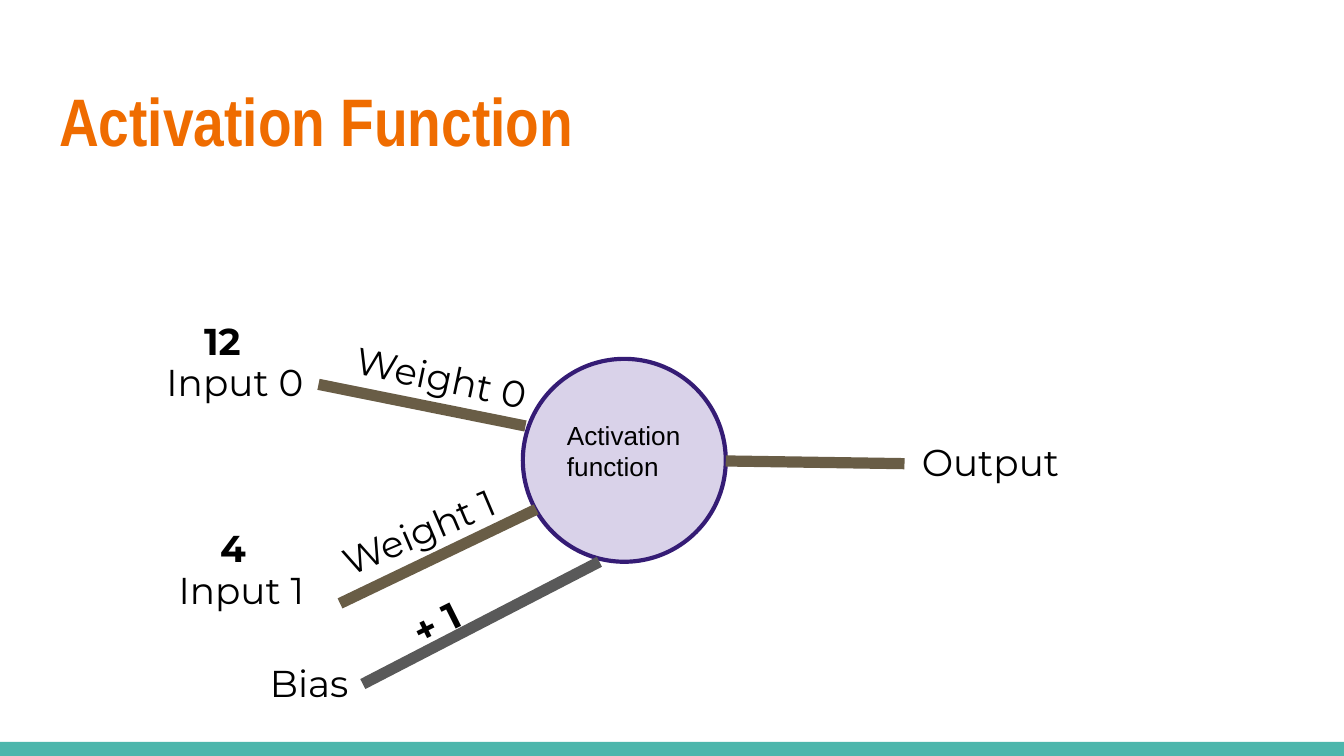
import pptx
import pptx.dml.color
import pptx.enum.shapes
import pptx.enum.text
import pptx.oxml
import pptx.oxml.ns
import pptx.util

PX = 9144
TAUPE = "695D46"
BLACK = "000000"


def px(length):
    return pptx.util.Emu(length * PX)


def box(*lengths):
    return [px(length) for length in lengths]


def colour(hex_code):
    return pptx.dml.color.RGBColor.from_string(hex_code)


def write(frame, text, size, font, hex_code=BLACK, bold=False):
    frame.text = text
    frame.word_wrap = True
    frame.auto_size = pptx.enum.text.MSO_AUTO_SIZE.NONE
    frame.vertical_anchor = pptx.enum.text.MSO_ANCHOR.TOP
    frame.margin_left = frame.margin_right = px(10)
    frame.margin_top = frame.margin_bottom = px(10)
    paragraph = frame.paragraphs[0]
    paragraph.alignment = pptx.enum.text.PP_ALIGN.LEFT
    for run in paragraph.runs:
        run.font.size = pptx.util.Pt(size)
        run.font.name = font
        run.font.bold = bold
        run.font.color.rgb = colour(hex_code)


def add_title(slide, text):
    title = slide.shapes.title
    title.left, title.top, title.width, title.height = box(34, 49, 932, 77)
    write(title.text_frame, text, 36, "Arial Narrow", "EF6C00", True)


def add_label(slide, text, left, top, width, height=67, rotation=0,
              size=20, font="Montserrat", bold=False):
    label = slide.shapes.add_textbox(*box(left, top, width, height))
    label.rotation = rotation
    write(label.text_frame, text, size, font, bold=bold)


def add_filled(slide, kind, left, top, width, height, fill, outline=None):
    filled = slide.shapes.add_shape(kind, *box(left, top, width, height))
    filled.shadow.inherit = False
    filled.fill.solid()
    filled.fill.fore_color.rgb = colour(fill)
    if outline:
        filled.line.color.rgb = colour(outline)
        filled.line.width = pptx.util.Pt(2.25)
    else:
        filled.line.fill.background()


def add_link(slide, start, end, hex_code=TAUPE):
    link = slide.shapes.add_connector(
        pptx.enum.shapes.MSO_CONNECTOR.STRAIGHT, *box(*start, *end))
    link.line.color.rgb = colour(hex_code)
    link.line.width = pptx.util.Pt(6)
    properties = link._element.spPr
    properties.append(pptx.oxml.parse_xml(
        f"<a:effectLst {pptx.oxml.ns.nsdecls('a')}/>"))


def main():
    deck = pptx.Presentation()
    deck.slide_width = px(1000)
    deck.slide_height = deck.slide_width * 9 // 16
    slide = deck.slides.add_slide(deck.slide_layouts[5])
    shapes = pptx.enum.shapes.MSO_SHAPE

    add_filled(slide, shapes.RECTANGLE, 0, 552, 1000, 11, "4DB6AC")
    add_title(slide, "Activation Function")
    add_filled(slide, shapes.OVAL, 389, 267, 151, 151, "D9D2E9", "351C75")

    add_link(slide, (391, 317), (237, 286))
    add_link(slide, (399, 379), (253, 449))
    add_link(slide, (673, 345), (540, 343))

    for name, left, top in (("Input 0", 114, 257), ("Input 1", 123, 412),
                            ("Output", 676, 317), ("Bias", 191, 481)):
        add_label(slide, name, left, top, 228)
    for weight, left, top, rotation in (("Weight 0", 253, 254, 11.8),
                                        ("Weight 1", 244, 366, 337)):
        add_label(slide, weight, left, top, 151, rotation=rotation)
    for value, left, top in (("12", 142, 227), ("4", 154, 381)):
        add_label(slide, value, left, top, 48, bold=True)
    add_label(slide, "Activation function", 412, 302, 108, 70,
              size=14, font="Arial")
    add_label(slide, " + 1", 286, 410, 186, rotation=333.5, bold=True)

    add_link(slide, (446, 418), (270, 509), "595959")
    deck.save("out.pptx")


if __name__ == "__main__":
    main()
